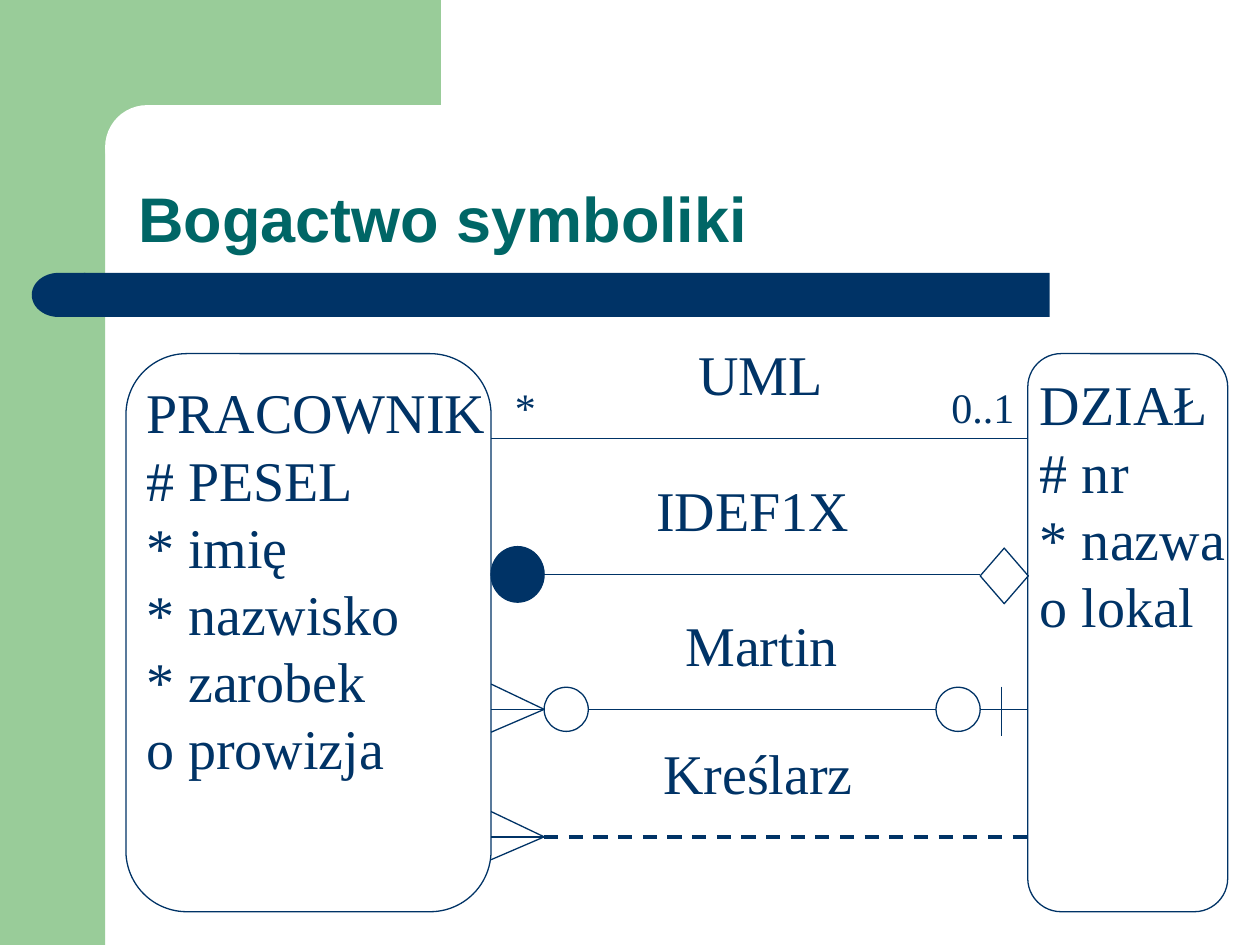
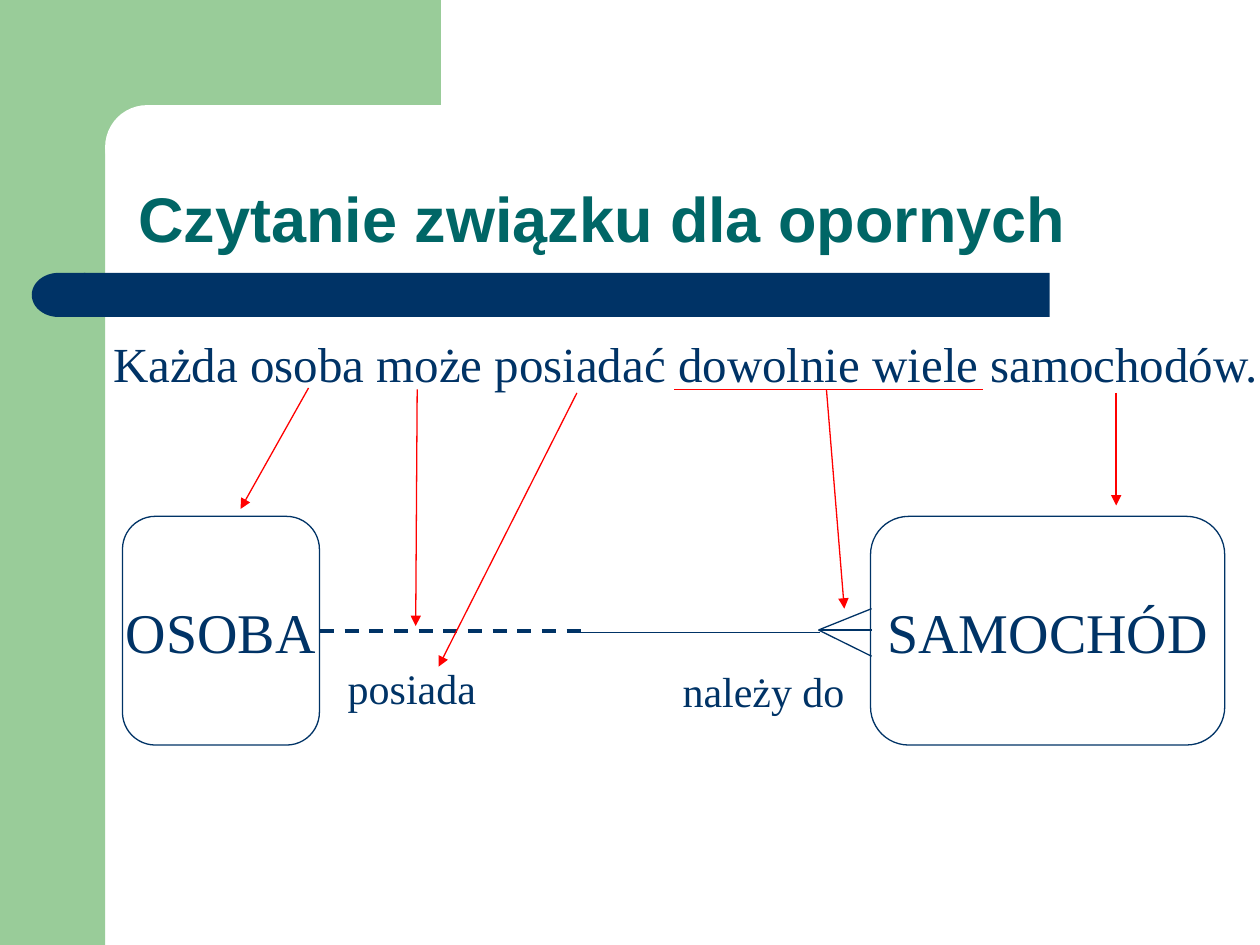
"""Build two slides on entity-relationship notation."""
from dataclasses import dataclass
from typing import Optional

from lxml.etree import SubElement
from pptx import Presentation
from pptx.dml.color import RGBColor
from pptx.enum.dml import MSO_LINE
from pptx.enum.shapes import MSO_CONNECTOR, MSO_SHAPE
from pptx.enum.text import MSO_ANCHOR, PP_ALIGN
from pptx.oxml.ns import qn
from pptx.presentation import Presentation as Deck
from pptx.shapes.autoshape import Shape
from pptx.slide import Slide
from pptx.text.text import TextFrame
from pptx.util import Cm, Pt

NAVY = RGBColor(0x00, 0x33, 0x66)
TEAL = RGBColor(0x00, 0x66, 0x66)
GREEN = RGBColor(0x99, 0xCC, 0x99)
WHITE = RGBColor(0xFF, 0xFF, 0xFF)
RED = RGBColor(0xFF, 0x00, 0x00)

HEADING_FONT = "Arial"
BODY_FONT = "Times New Roman"
THIN, THICK = 0.75, 2
INSET = 0.25


@dataclass(frozen=True)
class Box:
    """Position and size in centimetres."""
    left: float
    top: float
    width: float
    height: float


@dataclass(frozen=True)
class Symbol:
    """A preset outline with optional fill and line."""
    kind: MSO_SHAPE
    box: Box
    fill: Optional[RGBColor] = None
    line: Optional[RGBColor] = NAVY
    roundness: Optional[float] = None
    rotation: float = 0


@dataclass(frozen=True)
class Entity:
    """A rounded entity box with its name and attributes."""
    box: Box
    rows: tuple[str, ...]
    align: PP_ALIGN = PP_ALIGN.LEFT
    anchor: MSO_ANCHOR = MSO_ANCHOR.TOP
    left_inset: float = INSET


@dataclass(frozen=True)
class Label:
    """A line of free text."""
    text: str
    box: Box
    size: int = 32
    align: PP_ALIGN = PP_ALIGN.LEFT
    inset: float = INSET


@dataclass(frozen=True)
class Stroke:
    """A straight line between two points in centimetres."""
    x1: float
    y1: float
    x2: float
    y2: float
    color: RGBColor = NAVY
    dashed: bool = False
    arrow: bool = False


BACKDROP = (
    Symbol(MSO_SHAPE.RECTANGLE, Box(0, 0, 2.12, 19.05), GREEN, None),
    Symbol(MSO_SHAPE.RECTANGLE, Box(1.91, 0, 6.98, 2.96), GREEN, None),
    Symbol(MSO_SHAPE.ROUNDED_RECTANGLE, Box(2.12, 2.12, 14.18, 1.69), WHITE, None, 0.5),
    Symbol(MSO_SHAPE.RECTANGLE, Box(1.69, 5.5, 19.47, 0.89), NAVY, None),
    Symbol(MSO_SHAPE.FLOWCHART_DELAY, Box(0.64, 5.5, 1.08, 0.89), NAVY, None, rotation=180),
)
TITLE_BOX = Box(2.54, 2.12, 22.23, 3.17)

EMPLOYEE_EDGE, DEPARTMENT_EDGE = 9.9, 20.72
FOOT_TIP = 10.97
UML_Y, IDEF_Y, MARTIN_Y, DRAFTER_Y = 8.84, 11.58, 14.3, 16.87
RING = 0.89
RING_TOP = MARTIN_Y - RING / 2
FAR_RING = 18.87

NOTATION_ENTITIES = (
    Entity(Box(2.54, 7.13, 7.36, 11.25),
           ("PRACOWNIK", "# PESEL", "* imię", "* nazwisko", "* zarobek", "o prowizja"),
           left_inset=0.05),
    Entity(Box(DEPARTMENT_EDGE, 7.13, 4.03, 11.25),
           ("DZIAŁ", "# nr", "* nazwa", "o lokal"), left_inset=0.05),
)
NOTATION_LABELS = (
    Label("UML", Box(13.32, 6.71, 4.02, 1.63), align=PP_ALIGN.CENTER),
    Label("*", Box(10.13, 7.57, 1.07, 1.27), 24),
    Label("0..1", Box(19.18, 7.57, 1.55, 1.27), 24, inset=0),
    Label("IDEF1X", Box(12.48, 9.45, 5.39, 1.63), align=PP_ALIGN.CENTER),
    Label("Martin", Box(11.86, 12.17, 6.99, 1.63), align=PP_ALIGN.CENTER),
    Label("Kreślarz", Box(12, 14.76, 6.57, 1.63), align=PP_ALIGN.CENTER),
)
NOTATION_STROKES = (
    Stroke(EMPLOYEE_EDGE, UML_Y, DEPARTMENT_EDGE, UML_Y),
    Stroke(EMPLOYEE_EDGE, IDEF_Y, 19.76, IDEF_Y),
    Stroke(FOOT_TIP + RING, MARTIN_Y, FAR_RING, MARTIN_Y),
    Stroke(FAR_RING + RING, MARTIN_Y, DEPARTMENT_EDGE, MARTIN_Y),
    Stroke(20.19, 13.84, 20.19, 14.83),
    Stroke(FOOT_TIP, DRAFTER_Y, DEPARTMENT_EDGE, DRAFTER_Y, dashed=True),
)
NOTATION_SYMBOLS = (
    Symbol(MSO_SHAPE.DIAMOND, Box(19.76, 11.05, 0.97, 1.12)),
    Symbol(MSO_SHAPE.OVAL, Box(EMPLOYEE_EDGE, 11.02, 1.07, 1.12), NAVY),
    Symbol(MSO_SHAPE.OVAL, Box(FOOT_TIP, RING_TOP, RING, RING)),
    Symbol(MSO_SHAPE.OVAL, Box(FAR_RING, RING_TOP, RING, RING)),
)

READING_ENTITIES = (
    Entity(Box(2.47, 10.41, 3.97, 4.61), ("OSOBA",), PP_ALIGN.CENTER, MSO_ANCHOR.MIDDLE),
    Entity(Box(17.55, 10.41, 7.14, 4.61), ("SAMOCHÓD",), PP_ALIGN.CENTER, MSO_ANCHOR.MIDDLE),
)
READING_LABELS = (
    Label("Każda osoba może posiadać dowolnie wiele samochodów.",
          Box(2.03, 6.6, 23.8, 1.45), 28),
    Label("należy do", Box(13.51, 13.28, 4.4, 1.27), 24),
    Label("posiada", Box(6.76, 13.23, 3.6, 1.27), 24),
)
READING_STROKES = (
    Stroke(11.71, 12.75, 16.54, 12.75),
    Stroke(6.45, 12.72, 11.71, 12.72, dashed=True),
    Stroke(6.22, 7.82, 4.85, 10.26, RED, arrow=True),
    Stroke(11.63, 7.92, 8.84, 13.44, RED, arrow=True),
    Stroke(8.41, 7.85, 8.38, 12.62, RED, arrow=True),
    Stroke(16.66, 7.85, 17.02, 12.27, RED, arrow=True),
    Stroke(22.5, 7.92, 22.5, 10.19, RED, arrow=True),
    Stroke(13.59, 7.85, 19.81, 7.85, RED),
)


def place(box: Box) -> tuple[Cm, Cm, Cm, Cm]:
    """Turn a box into slide lengths."""
    return Cm(box.left), Cm(box.top), Cm(box.width), Cm(box.height)


def draw_symbol(slide: Slide, symbol: Symbol) -> Shape:
    """Draw a preset outline."""
    shape = slide.shapes.add_shape(symbol.kind, *place(symbol.box))
    shape.shadow.inherit = False
    shape.rotation = symbol.rotation
    if symbol.roundness is not None:
        shape.adjustments[0] = symbol.roundness
    if symbol.fill is None:
        shape.fill.background()
    else:
        shape.fill.solid()
        shape.fill.fore_color.rgb = symbol.fill
    if symbol.line is None:
        shape.line.fill.background()
    else:
        shape.line.color.rgb = symbol.line
        shape.line.width = Pt(THIN)
    return shape


def write(frame: TextFrame, rows: tuple[str, ...], size: int, align: PP_ALIGN,
          left_inset: float, right_inset: float) -> None:
    """Fill a frame with unwrapped body text."""
    frame.text = "\n".join(rows)
    frame.word_wrap = False
    frame.margin_left, frame.margin_right = Cm(left_inset), Cm(right_inset)
    frame.margin_top = frame.margin_bottom = Cm(0.13)
    for paragraph in frame.paragraphs:
        paragraph.alignment = align
        for run in paragraph.runs:
            run.font.name = BODY_FONT
            run.font.size = Pt(size)
            run.font.color.rgb = NAVY


def draw_entity(slide: Slide, entity: Entity) -> None:
    """Draw an entity box with its rows."""
    outline = draw_symbol(slide, Symbol(MSO_SHAPE.ROUNDED_RECTANGLE, entity.box))
    outline.text_frame.vertical_anchor = entity.anchor
    write(outline.text_frame, entity.rows, 32, entity.align, entity.left_inset, INSET)


def draw_label(slide: Slide, label: Label) -> None:
    """Draw a line of free text."""
    frame = slide.shapes.add_textbox(*place(label.box)).text_frame
    write(frame, (label.text,), label.size, label.align, label.inset, label.inset)


def draw_stroke(slide: Slide, stroke: Stroke) -> None:
    """Draw a straight line, dashed or with an arrowhead if asked."""
    connector = slide.shapes.add_connector(
        MSO_CONNECTOR.STRAIGHT, Cm(stroke.x1), Cm(stroke.y1), Cm(stroke.x2), Cm(stroke.y2))
    connector.line.color.rgb = stroke.color
    connector.line.width = Pt(THICK if stroke.dashed else THIN)
    if stroke.dashed:
        connector.line.dash_style = MSO_LINE.DASH
    properties = connector.element.spPr
    if stroke.arrow:
        SubElement(properties.find(qn("a:ln")), qn("a:tailEnd"), type="triangle")
    SubElement(properties, qn("a:effectLst"))


def draw_crow_foot(slide: Slide, tip: float, base: float, y: float,
                   rise: float, drop: float) -> None:
    """Draw the three toes of a many-sided relationship end."""
    for offset in (0, -rise, drop):
        draw_stroke(slide, Stroke(base, y + offset, tip, y))


def add_titled_slide(deck: Deck, title: str) -> Slide:
    """Add a blank slide with the shared backdrop and a title."""
    slide = deck.slides.add_slide(deck.slide_layouts[6])
    for symbol in BACKDROP:
        draw_symbol(slide, symbol)
    frame = slide.shapes.add_textbox(*place(TITLE_BOX)).text_frame
    frame.word_wrap = True
    frame.vertical_anchor = MSO_ANCHOR.BOTTOM
    frame.text = title
    heading = frame.paragraphs[0]
    heading.line_spacing = 0.9
    font = heading.runs[0].font
    font.name, font.size, font.bold = HEADING_FONT, Pt(36), True
    font.color.rgb = TEAL
    return slide


def draw_diagram(slide: Slide, entities: tuple[Entity, ...], strokes: tuple[Stroke, ...],
                 labels: tuple[Label, ...]) -> None:
    """Draw entities, the lines between them and their labels."""
    for entity in entities:
        draw_entity(slide, entity)
    for stroke in strokes:
        draw_stroke(slide, stroke)
    for label in labels:
        draw_label(slide, label)


def build_notation_slide(deck: Deck) -> None:
    """Compare four notations of one relationship."""
    slide = add_titled_slide(deck, "Bogactwo symboliki")
    draw_diagram(slide, NOTATION_ENTITIES, NOTATION_STROKES, NOTATION_LABELS)
    for symbol in NOTATION_SYMBOLS:
        draw_symbol(slide, symbol)
    for y in (MARTIN_Y, DRAFTER_Y):
        draw_crow_foot(slide, FOOT_TIP, EMPLOYEE_EDGE, y, 0.51, 0.46)


def build_reading_slide(deck: Deck) -> None:
    """Map the words of a sentence to parts of a relationship."""
    slide = add_titled_slide(deck, "Czytanie związku dla opornych")
    draw_crow_foot(slide, 16.5, 17.57, 12.7, 0.43, 0.53)
    draw_diagram(slide, READING_ENTITIES, READING_STROKES, READING_LABELS)


def main() -> None:
    """Build and save the deck."""
    deck = Presentation()
    deck.slide_width, deck.slide_height = Cm(25.4), Cm(19.05)
    build_notation_slide(deck)
    build_reading_slide(deck)
    deck.save("out.pptx")


if __name__ == "__main__":
    main()
